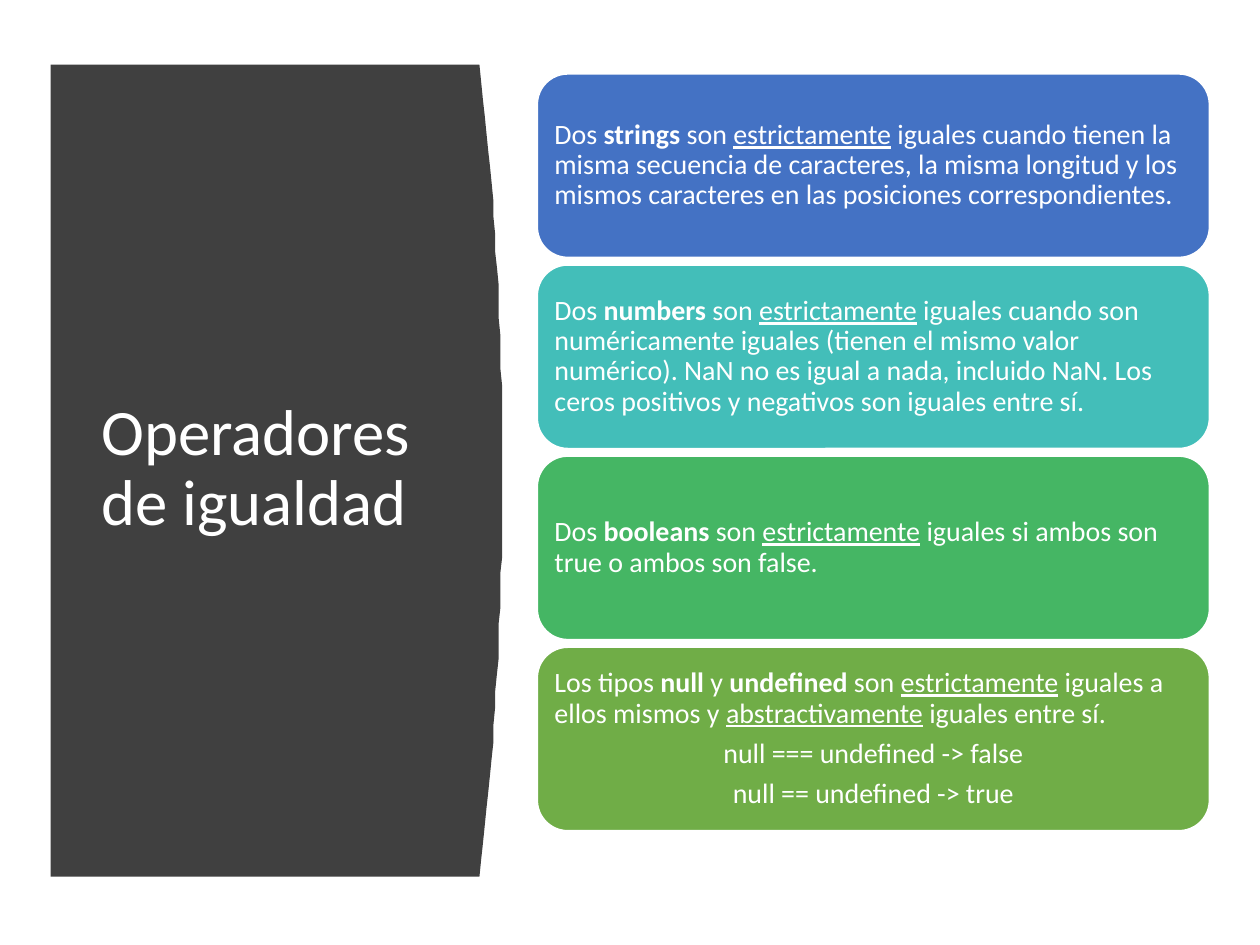
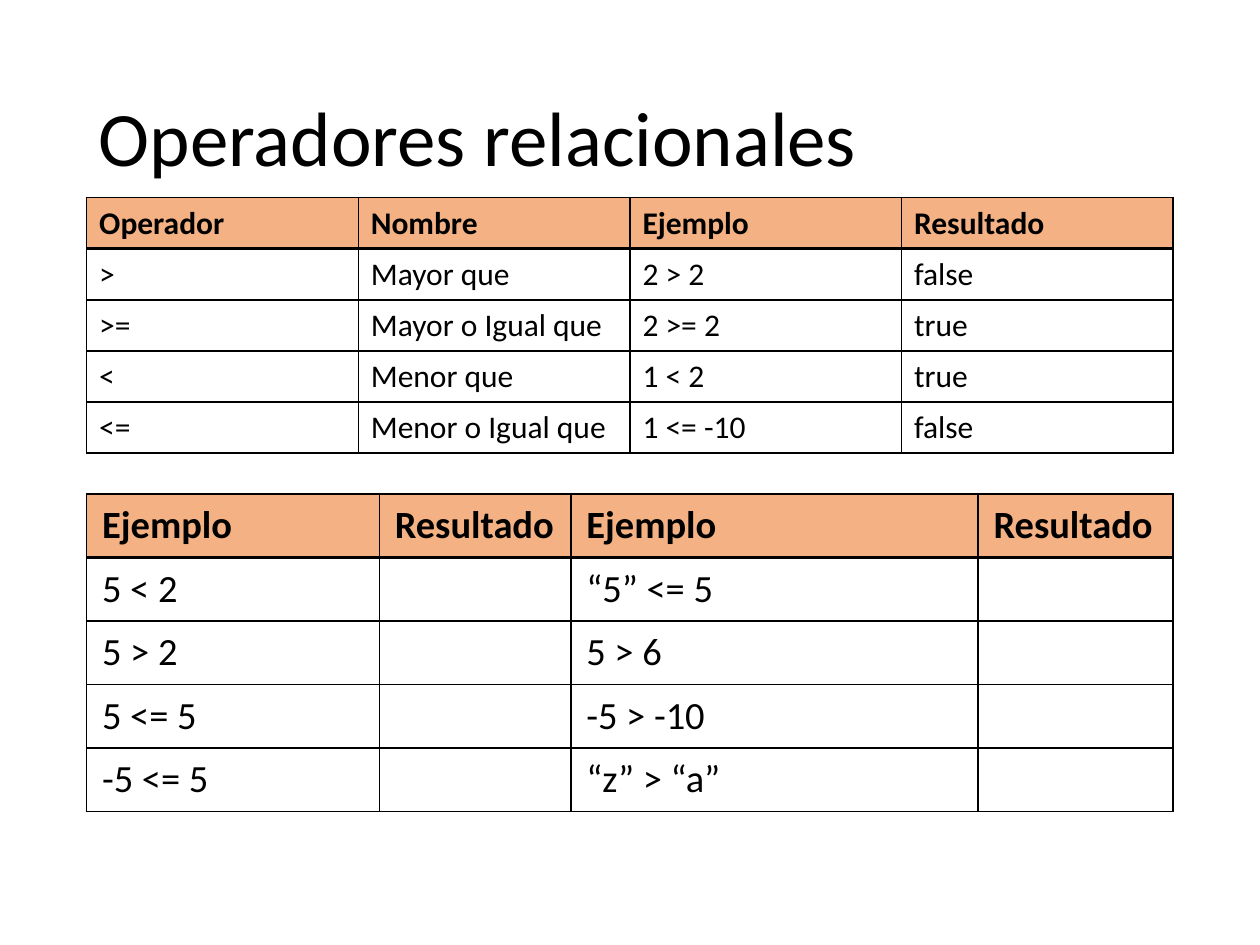
from pptx import Presentation
from pptx.dml.color import RGBColor
from pptx.enum import shapes, text
from pptx.oxml import parse_xml
from pptx.oxml.ns import nsdecls
from pptx.util import Pt

WHITE = RGBColor(0xFF, 0xFF, 0xFF)
BLACK = RGBColor(0, 0, 0)
CHARCOAL = RGBColor(0x40, 0x40, 0x40)
PEACH = RGBColor(0xF4, 0xB1, 0x83)
BLUE = RGBColor(0x44, 0x72, 0xC4)
TEAL = RGBColor(0x43, 0xBE, 0xB9)
GREEN = RGBColor(0x45, 0xB6, 0x64)
OLIVE = RGBColor(0x70, 0xAD, 0x47)


class Deck:
    font = "Calibri"

    def __init__(self):
        self.prs = Presentation()
        self.prs.slide_width, self.prs.slide_height = Pt(720), Pt(540)

    def slide(self):
        self.s = self.prs.slides.add_slide(self.prs.slide_layouts[6])

    def style(self, p, size, color, bold=False):
        f = p.font
        f.name, f.size, f.bold = self.font, Pt(size), bold
        f.color.rgb = color

    def title(self, words, x, y, w, h, size, color):
        tf = self.s.shapes.add_textbox(Pt(x), Pt(y), Pt(w), Pt(h)).text_frame
        tf.word_wrap = True
        tf.vertical_anchor = text.MSO_ANCHOR.MIDDLE
        p = tf.paragraphs[0]
        p.line_spacing = 0.9
        p.add_run().text = words
        self.style(p, size, color)

    def curved_panel(self, x, y, w, h, bulge, color, steps=48):
        """Rectangle whose right side swells outwards as a parabola."""
        edge = []
        for i in range(steps + 1):
            t = 2 * i / steps - 1
            edge.append((x + w + bulge * (1 - t * t), y + h * i / steps))
        fb = self.s.shapes.build_freeform(x, y, scale=Pt(1))
        fb.add_line_segments(edge + [(x, y + h)], close=True)
        sp = fb.convert_to_shape()
        sp.shadow.inherit = False
        sp.fill.solid()
        sp.fill.fore_color.rgb = color
        sp.line.fill.background()

    def card(self, paragraphs, x, y, w, h, color):
        """Rounded card; *word* is bold and _word_ underlined."""
        sp = self.s.shapes.add_shape(shapes.MSO_SHAPE.ROUNDED_RECTANGLE,
                                     Pt(x), Pt(y), Pt(w), Pt(h))
        sp.shadow.inherit = False
        sp.fill.solid()
        sp.fill.fore_color.rgb = color
        sp.line.color.rgb, sp.line.width = WHITE, Pt(1)
        tf = sp.text_frame
        tf.word_wrap = True
        tf.vertical_anchor = text.MSO_ANCHOR.MIDDLE
        tf.margin_left = tf.margin_right = tf.margin_top = tf.margin_bottom = Pt(4.8)
        for i, marked in enumerate(paragraphs):
            p = tf.add_paragraph() if i else tf.paragraphs[0]
            p.alignment = text.PP_ALIGN.CENTER if i else text.PP_ALIGN.LEFT
            p.line_spacing, p.space_after = 0.9, Pt(5.6)
            self.style(p, 16, WHITE)
            for j, part in enumerate(marked.split("*")):
                for k, piece in enumerate(part.split("_")):
                    if piece:
                        r = p.add_run()
                        r.text = piece
                        if j % 2:
                            r.font.bold = True
                        if k % 2:
                            r.font.underline = True

    def borders(self, cell, top, bottom):
        tcPr = cell._tc.get_or_add_tcPr()
        widths = {"lnL": 1, "lnR": 1, "lnT": top, "lnB": bottom}
        for i, (tag, width) in enumerate(widths.items()):
            tcPr.insert(i, parse_xml(
                f'<a:{tag} {nsdecls("a")} w="{Pt(width)}"><a:solidFill>'
                f'<a:srgbClr val="{BLACK}"/></a:solidFill></a:{tag}>'))

    def table(self, rows, x, y, widths, row_height, size, margins):
        frame = self.s.shapes.add_table(len(rows), len(widths), Pt(x), Pt(y),
                                        Pt(sum(widths)), Pt(row_height * len(rows)))
        tbl = frame.table
        tbl.horz_banding = False
        for col, width in zip(tbl.columns, widths):
            col.width = Pt(width)
        for i, row in enumerate(rows):
            tbl.rows[i].height = Pt(row_height)
            for j, words in enumerate(row):
                cell = tbl.cell(i, j)
                cell.fill.solid()
                cell.fill.fore_color.rgb = WHITE if i else PEACH
                cell.vertical_anchor = text.MSO_ANCHOR.MIDDLE
                cell.margin_left = cell.margin_right = Pt(margins[0])
                cell.margin_top = cell.margin_bottom = Pt(margins[1])
                self.borders(cell, 2 if i == 1 else 1, 1 if i else 2)
                p = cell.text_frame.paragraphs[0]
                self.style(p, size, BLACK, bold=i == 0)
                if words:
                    p.add_run().text = words


def equality_slide(d):
    d.slide()
    # Side panel with the title
    d.curved_panel(28.8, 37.4, 245.5, 463.7, 13, CHARCOAL)
    d.title("Operadores de igualdad", 51, 80, 201.6, 377, 37, WHITE)
    # One card per type
    cards = [
        (BLUE, ["Dos *strings* son _estrictamente_ iguales cuando tienen la misma "
                "secuencia de caracteres, la misma longitud y los mismos caracteres "
                "en las posiciones correspondientes."]),
        (TEAL, ["Dos *numbers* son _estrictamente_ iguales cuando son numéricamente "
                "iguales (tienen el mismo valor numérico). NaN no es igual a nada, "
                "incluido NaN. Los ceros positivos y negativos son iguales entre sí."]),
        (GREEN, ["Dos *booleans* son _estrictamente_ iguales si ambos son true o "
                 "ambos son false."]),
        (OLIVE, ["Los tipos *null* y *undefined* son _estrictamente_ iguales a ellos "
                 "mismos y _abstractivamente_ iguales entre sí.",
                 "null === undefined -> false",
                 "null == undefined -> true"]),
    ]
    for i, (color, paragraphs) in enumerate(cards):
        d.card(paragraphs, 307, 42.2 + 109.2 * i, 384.2, 105, color)


def relational_slide(d):
    d.slide()
    d.title("Operadores relacionales", 49.5, 28.75, 621, 104.4, 44, BLACK)
    # Operators with their results
    d.table([
        ("Operador", "Nombre", "Ejemplo", "Resultado"),
        (">", "Mayor que", "2 > 2", "false"),
        (">=", "Mayor o Igual que", "2 >= 2", "true"),
        ("<", "Menor que", "1 < 2", "true"),
        ("<=", "Menor o Igual que", "1 <= -10", "false"),
    ], 49.5, 113, [155.25] * 4, 29.2, 18, (7.2, 3.6))
    # Exercise with results left to fill in
    d.table([
        ("Ejemplo", "Resultado", "Ejemplo", "Resultado"),
        ("5 < 2", "", "“5” <= 5", ""),
        ("5 > 2", "", "5 > 6", ""),
        ("5 <= 5", "", "-5 > -10", ""),
        ("-5 <= 5", "", "“z” > “a”", ""),
    ], 49.5, 282.2, [167.25, 109.5, 232.75, 111.5], 36.3, 22, (8.9, 4.4))


def main():
    d = Deck()
    equality_slide(d)
    relational_slide(d)
    d.prs.save("out.pptx")


if __name__ == "__main__":
    main()
